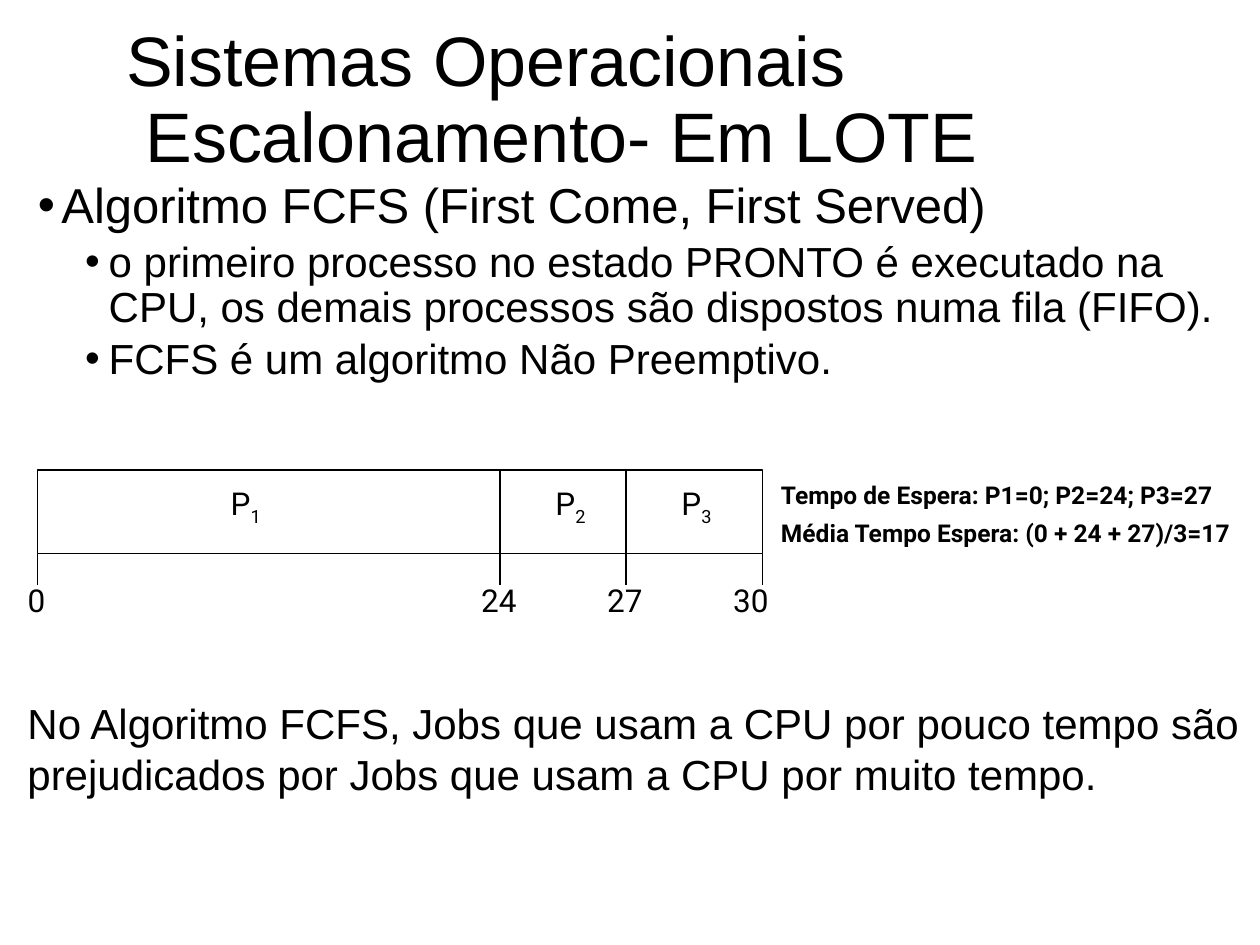
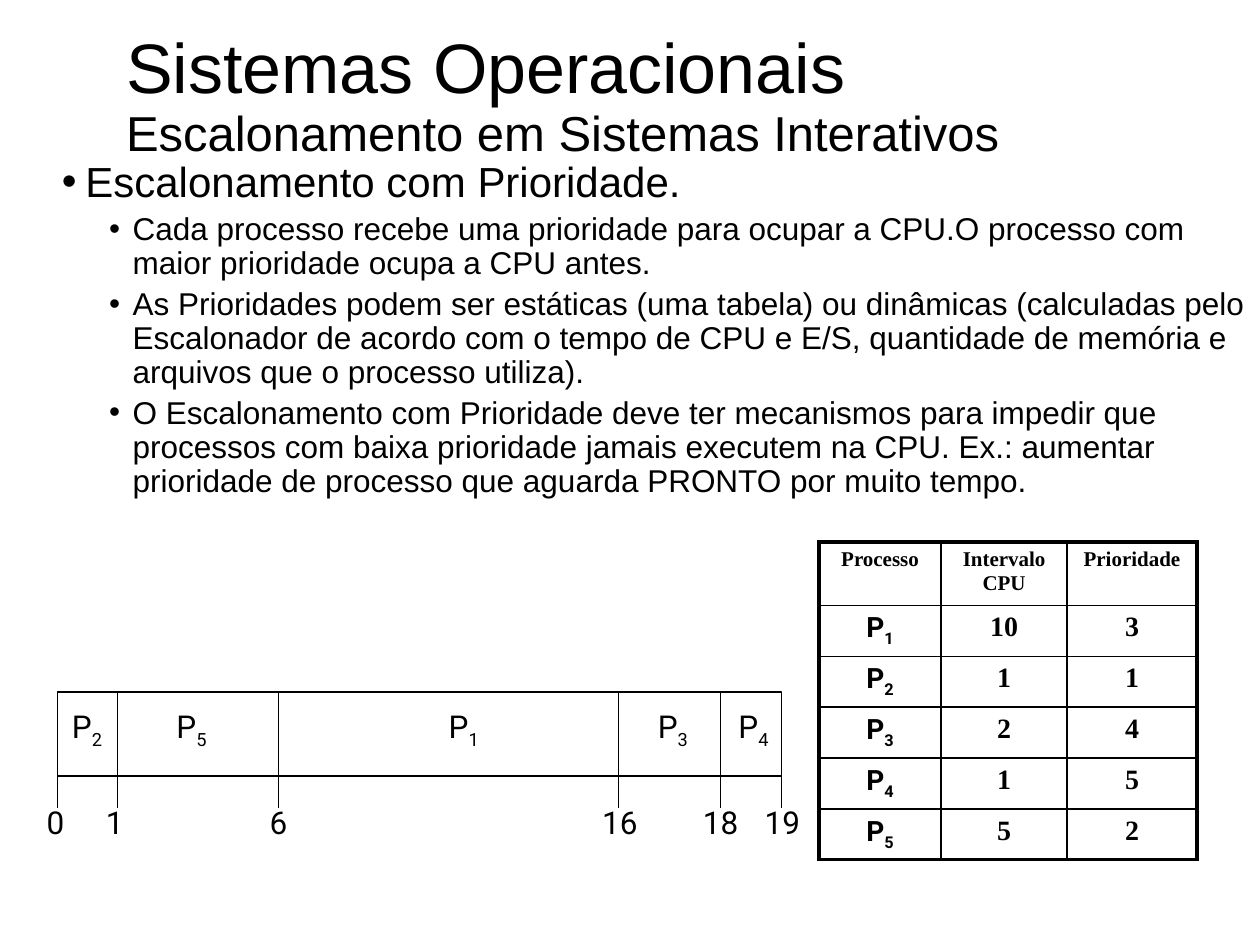
import pptx
import pptx.util
import pptx.dml.color
import pptx.enum.shapes
import pptx.enum.text
import pptx.oxml
import pptx.oxml.ns
import lxml.etree

Pt = pptx.util.Pt
ALIGN = pptx.enum.text.PP_ALIGN
ANCHOR = pptx.enum.text.MSO_ANCHOR
qn = pptx.oxml.ns.qn

# Shared look
BLACK, WHITE = "000000", "FFFFFF"
SANS, LABEL, SERIF = "Arial", "Roboto", "Times New Roman"
THIN, INNER, OUTER = 0.75, 1, 2.25
BAR_HEIGHT, TICK_HEIGHT = 48, 18
LABEL_WIDTH, LABEL_HEIGHT = 38, 28.8
NAME_DROP, TIME_DROP = 6.2, 60

# Content: title lines are (text, size), list items are (text, level, size)
FCFS = {
    "title": [("Sistemas Operacionais", 40), (" Escalonamento- Em LOTE", 40)],
    "title_box": (64.8, 0, 612, 116.6),
    "body": [
        ("Algoritmo FCFS (First Come, First Served)", 0, 28),
        ("o primeiro processo no estado PRONTO é executado na CPU, os demais "
         "processos são dispostos numa fila (FIFO).", 1, 24),
        ("FCFS é um algoritmo Não Preemptivo.", 1, 24),
    ],
    "body_box": (14.4, 100, 705.6, 147.6),
    "bar_top": 268.5,
    # (process, label centre)
    "processes": [("P_1", 140.4), ("P_2", 326), ("P_3", 398)],
    # (time, edge, label centre)
    "times": [("0", 21.6, 20.9), ("24", 285.8, 285),
              ("27", 357.8, 357), ("30", 435.6, 429)],
}
WAITING = ["Tempo de Espera: P1=0; P2=24; P3=27",
           "Média Tempo Espera: (0 + 24 + 27)/3=17"]
CONCLUSION = ("No Algoritmo FCFS, Jobs que usam a CPU por pouco tempo são "
              "prejudicados por Jobs que usam a CPU por muito tempo.")

PRIORITY = {
    "title": [("Sistemas Operacionais", 40),
              ("Escalonamento em Sistemas Interativos", 28)],
    "title_box": (64.8, 0, 612, 111.6),
    "body": [
        ("Escalonamento com Prioridade.", 0, 24),
        ("Cada processo recebe uma prioridade para ocupar a CPU.O processo "
         "com maior prioridade ocupa a CPU antes.", 1, 18),
        ("As Prioridades podem ser estáticas (uma tabela) ou dinâmicas "
         "(calculadas pelo Escalonador de acordo com o tempo de CPU e E/S, "
         "quantidade de memória e arquivos que o processo utiliza).", 1, 18),
        ("O Escalonamento com Prioridade deve ter mecanismos para impedir que "
         "processos com baixa prioridade jamais executem na CPU. Ex.: aumentar "
         "prioridade de processo que aguarda PRONTO por muito tempo.", 1, 18),
    ],
    "body_box": (28.1, 88.6, 691.9, 238.3),
    "bar_top": 395.5,
    "processes": [("P_2", 49.7), ("P_5", 109.4), ("P_1", 265),
                  ("P_3", 384.5), ("P_4", 430.6)],
    "times": [("0", 32.8, 31.7), ("1", 67, 65.5), ("6", 159.1, 159.1),
              ("16", 353.5, 354.2), ("18", 411.8, 411.8), ("19", 446.4, 447.1)],
}
TABLE = [
    ["Processo", "Intervalo CPU", "Prioridade"],
    ["P_1", "10", "3"],
    ["P_2", "1", "1"],
    ["P_3", "2", "4"],
    ["P_4", "1", "5"],
    ["P_5", "5", "2"],
]
TABLE_AT = (468, 309.6)
COLUMN_WIDTHS = (69.8, 72, 74.2)
HEADER_HEIGHT, ROW_HEIGHT = 36.4, 29


def color(hex_text):
    return pptx.dml.color.RGBColor.from_string(hex_text)


def points(*lengths):
    return [Pt(length) for length in lengths]


def write(para, text, size=18, font=SANS, bold=False, align=None):
    """Add text to a paragraph; what follows "_" is set as a subscript."""
    para.alignment = align
    for index, piece in enumerate(text.split("_")):
        span = para.add_run()
        span.text = piece
        span.font.size = Pt(size)
        span.font.name = font
        span.font.bold = bold
        span.font.color.rgb = color(BLACK)
        if index:
            span.font._element.set("baseline", "-25000")


def add_text(shapes, box, lines, wrap=True, anchor=ANCHOR.TOP, gap=0, **style):
    frame = shapes.add_textbox(*points(*box)).text_frame
    frame.word_wrap = wrap
    frame.vertical_anchor = anchor
    for index, line in enumerate(lines):
        para = frame.add_paragraph() if index else frame.paragraphs[0]
        para.space_before = Pt(gap if index else 0)
        write(para, line, **style)


def place(holder, box):
    holder.left, holder.top, holder.width, holder.height = points(*box)
    frame = holder.text_frame
    frame.auto_size = pptx.enum.text.MSO_AUTO_SIZE.NONE
    frame.word_wrap = True
    return frame


def fill_title(page, lines, box):
    frame = place(page.shapes.title, box)
    frame.vertical_anchor = ANCHOR.MIDDLE
    para = frame.paragraphs[0]
    para.line_spacing = 0.9
    for index, (text, size) in enumerate(lines):
        if index:
            para.add_line_break()
        write(para, text, size=size, align=ALIGN.LEFT)


def fill_body(page, items, box):
    frame = place(page.placeholders[1], box)
    frame.vertical_anchor = ANCHOR.TOP
    for index, (text, level, size) in enumerate(items):
        para = frame.add_paragraph() if index else frame.paragraphs[0]
        para.level = level
        para.line_spacing = 0.9
        para.space_before = Pt(3.8 if level else 7.5)
        write(para, text, size=size, align=ALIGN.LEFT)
        # Hanging bullet
        settings = para._p.get_or_add_pPr()
        settings.set("marL", str(Pt(13.5 + 27 * level)))
        settings.set("indent", str(-Pt(13.5)))
        lxml.etree.SubElement(settings, qn("a:buFont")).set("typeface", SANS)
        lxml.etree.SubElement(settings, qn("a:buChar")).set("char", "•")


def add_upright(shapes, x, top, bottom):
    line = shapes.add_connector(pptx.enum.shapes.MSO_CONNECTOR.STRAIGHT,
                                *points(x, top, x, bottom))
    line.line.color.rgb = color(BLACK)
    line.line.width = Pt(THIN)
    lxml.etree.SubElement(line._element.spPr, qn("a:effectLst"))


def add_label(shapes, text, center, top):
    add_text(shapes, (center - LABEL_WIDTH / 2, top, LABEL_WIDTH, LABEL_HEIGHT),
             [text], wrap=False, anchor=ANCHOR.MIDDLE, font=LABEL,
             align=ALIGN.CENTER)


def add_timeline(page, top, processes, times):
    shapes = page.shapes.add_group_shape().shapes
    edges = [edge for _, edge, _ in times]
    bottom = top + BAR_HEIGHT
    bar = shapes.add_shape(pptx.enum.shapes.MSO_SHAPE.RECTANGLE,
                           *points(edges[0], top, edges[-1] - edges[0], BAR_HEIGHT))
    bar.shadow.inherit = False
    bar.fill.solid()
    bar.fill.fore_color.rgb = color(WHITE)
    bar.line.color.rgb = color(BLACK)
    bar.line.width = Pt(THIN)
    for edge in edges[1:-1]:
        add_upright(shapes, edge, top, bottom)
    for name, center in processes:
        add_label(shapes, name, center, top + NAME_DROP)
    for time, edge, center in times:
        add_upright(shapes, edge, bottom, bottom + TICK_HEIGHT)
        add_label(shapes, time, center, top + TIME_DROP)


def set_borders(cell, widths):
    settings = cell._tc.get_or_add_tcPr()
    for side, width in widths.items():
        border = lxml.etree.SubElement(settings, qn("a:ln" + side))
        border.set("w", str(Pt(width)))
        paint = lxml.etree.SubElement(border, qn("a:solidFill"))
        lxml.etree.SubElement(paint, qn("a:srgbClr")).set("val", BLACK)


def add_process_table(page):
    last_row, last_column = len(TABLE) - 1, len(COLUMN_WIDTHS) - 1
    height = HEADER_HEIGHT + ROW_HEIGHT * last_row
    table = page.shapes.add_table(
        len(TABLE), len(COLUMN_WIDTHS),
        *points(*TABLE_AT, sum(COLUMN_WIDTHS), height)).table
    table.first_row = table.horz_banding = False
    for column, width in zip(table.columns, COLUMN_WIDTHS):
        column.width = Pt(width)
    for r, values in enumerate(TABLE):
        table.rows[r].height = Pt(ROW_HEIGHT if r else HEADER_HEIGHT)
        for c, value in enumerate(values):
            cell = table.cell(r, c)
            outer = {"L": c == 0, "R": c == last_column,
                     "T": r == 0, "B": r == last_row}
            set_borders(cell, {side: OUTER if edge else INNER
                               for side, edge in outer.items()})
            cell.fill.background()
            write(cell.text_frame.paragraphs[0], value, size=16 if r else 12,
                  font=LABEL if r and c == 0 else SERIF, bold=True,
                  align=ALIGN.CENTER)


def add_page(deck, content):
    page = deck.slides.add_slide(deck.slide_layouts[1])
    fill_title(page, content["title"], content["title_box"])
    fill_body(page, content["body"], content["body_box"])
    add_timeline(page, content["bar_top"], content["processes"], content["times"])
    return page


def main():
    deck = pptx.Presentation()
    deck.slide_width, deck.slide_height = points(720, 540)

    # First come, first served
    page = add_page(deck, FCFS)
    add_text(page.shapes, (439.2, 270.7, 280.8, 46.8), WAITING,
             size=14, font=LABEL, bold=True, gap=5)
    add_text(page.shapes, (8.6, 395.3, 711.4, 64.8), [CONCLUSION], size=24)

    # Priority scheduling
    page = add_page(deck, PRIORITY)
    add_process_table(page)

    deck.save("out.pptx")


if __name__ == "__main__":
    main()
